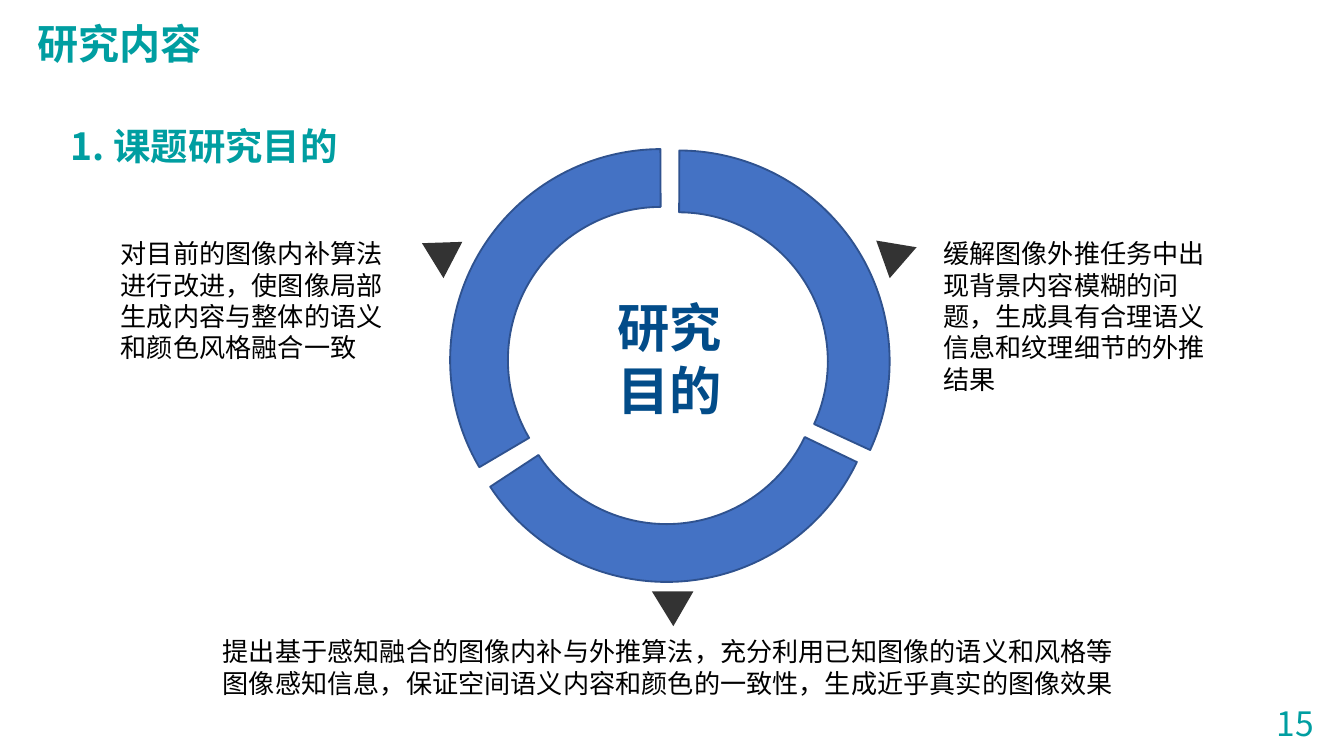
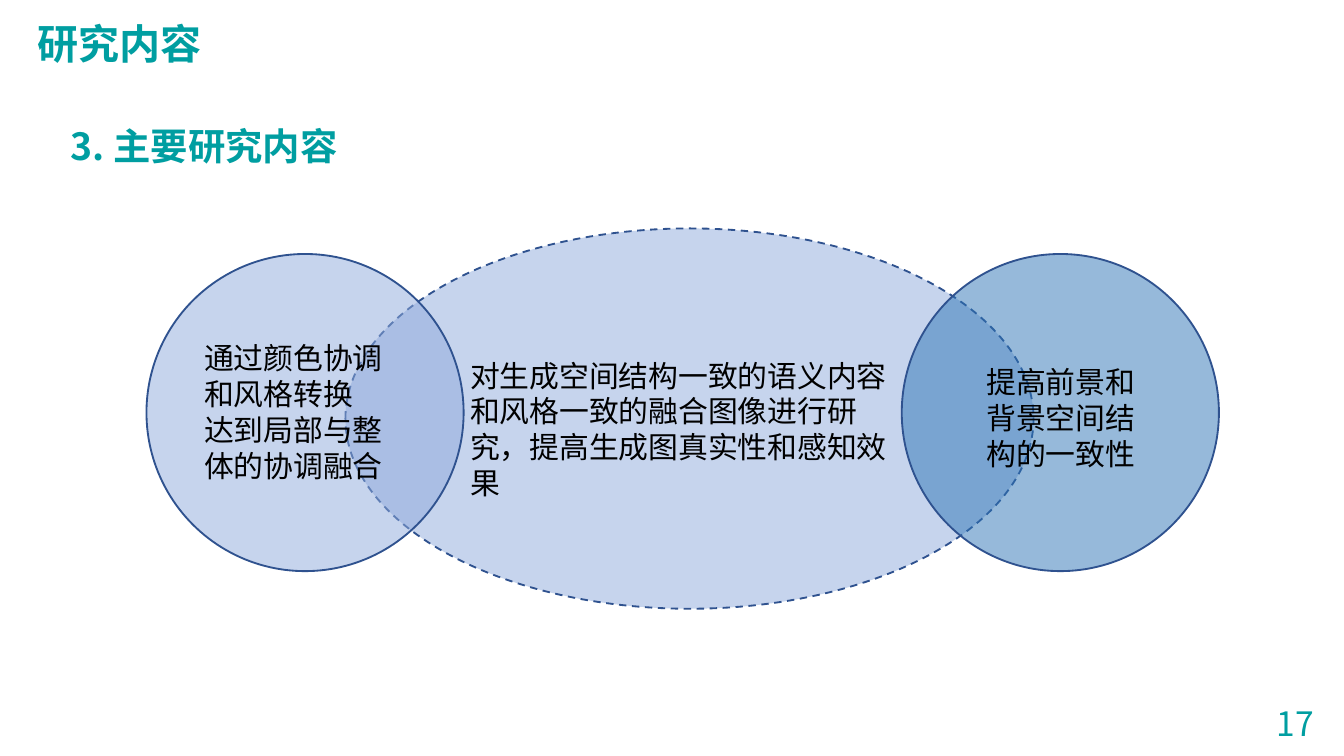
import pptx
import pptx.dml.color
import pptx.enum.dml
import pptx.enum.shapes
import pptx.enum.text
import pptx.oxml.ns
import pptx.util
from lxml import etree

COLOURS = {
    "teal": "009EA1", "navy": "024C89", "text": "000000", "ring": "4472C4",
    "outline": "2F528F", "marker": "333333", "pale": "8FAADC", "blue": "2E75B6",
}
CJK_FONT = "Noto Sans CJK SC"
ALIGN = pptx.enum.text.PP_ALIGN
SHAPES = pptx.enum.shapes.MSO_SHAPE

# Text formats; pitch is the line height as a multiple of the size
FORMATS = {
    "title": {"size": 22, "bold": True, "name": CJK_FONT, "colour": "teal"},
    "heading": {"size": 20, "bold": True, "name": CJK_FONT, "colour": "teal",
                "pitch": 1.8, "alignment": ALIGN.JUSTIFY},
    "hub": {"size": 28, "bold": True, "name": CJK_FONT, "colour": "navy",
            "alignment": ALIGN.CENTER},
    "note": {"size": 14, "name": "Calibri", "colour": "text"},
    "label": {"size": 16, "name": "Calibri", "colour": "text"},
    "number": {"size": 18, "name": CJK_FONT, "colour": "teal"},
}


def cells(count):
    """Length of a number of grid cells; the slide is 100 columns wide."""
    return pptx.util.Inches(count / 10)


def place(*area):
    return [cells(count) for count in area]


def colour(name):
    return pptx.dml.color.RGBColor.from_string(COLOURS[name])


def child(parent, tag, **attributes):
    return etree.SubElement(parent, pptx.oxml.ns.qn(tag), attributes)


# Text
def format_span(span, style):
    for key in ("size", "bold", "name"):
        value = style.get(key, False)
        setattr(span.font, key, pptx.util.Pt(value) if key == "size" else value)
    span.font.color.rgb = colour(style["colour"])
    child(span._r.get_or_add_rPr(), "a:ea", typeface=CJK_FONT)


def write(box, lines, style_name, wrap=True):
    style = FORMATS[style_name]
    frame = box.text_frame
    frame_format = {
        "word_wrap": wrap,
        "auto_size": pptx.enum.text.MSO_AUTO_SIZE.NONE,
        "vertical_anchor": pptx.enum.text.MSO_ANCHOR.TOP,
    }
    for key, value in frame_format.items():
        setattr(frame, key, value)
    for index, line in enumerate(lines):
        para = frame.add_paragraph() if index else frame.paragraphs[0]
        properties = para._p.get_or_add_pPr()
        for key in ("marL", "indent", "hangingPunct"):
            properties.set(key, "0")
        child(properties, "a:buNone")
        para_format = {
            "alignment": style.get("alignment", ALIGN.LEFT),
            "line_spacing": pptx.util.Pt(style["size"] * style.get("pitch", 1.2)),
            "space_before": pptx.util.Pt(0),
        }
        for key, value in para_format.items():
            setattr(para, key, value)
        span = para.add_run()
        span.text = line
        format_span(span, style)


def add_text(page, area, lines, style_name, wrap=True):
    write(page.shapes.add_textbox(*place(*area)), lines, style_name, wrap)


def move(box, area):
    for key, value in zip(("left", "top", "width", "height"), place(*area)):
        setattr(box, key, value)


# Shapes
def paint(shape, fill, outline=None, alpha=None, dashed=False):
    shape.shadow.inherit = False
    shape.fill.solid()
    shape.fill.fore_color.rgb = colour(fill)
    if alpha:
        tint = shape._element.spPr.find(".//" + pptx.oxml.ns.qn("a:srgbClr"))
        child(tint, "a:alpha", val=str(alpha * 1000))
    if outline is None:
        shape.line.fill.background()
        return
    shape.line.color.rgb = colour(outline)
    shape.line.width = pptx.util.Pt(1)
    if dashed:
        shape.line.dash_style = pptx.enum.dml.MSO_LINE.DASH


def add_ring_part(page, centre, inner, start, end, outer=15.7):
    """Part of a ring, running clockwise from start to end in degrees."""
    left, top = (middle - outer for middle in centre)
    arc = page.shapes.add_shape(
        SHAPES.BLOCK_ARC, *place(left, top, 2 * outer, 2 * outer))
    # Angles are stored in sixty-thousandths, adjustments in hundred-thousandths
    values = (start * 0.6, end * 0.6, (outer - inner) / (2 * outer))
    for index, value in enumerate(values):
        arc.adjustments[index] = value
    paint(arc, "ring", "outline")


def add_marker(page, *corners):
    points = [place(*corner) for corner in corners]
    builder = page.shapes.build_freeform(*points[0])
    builder.add_line_segments(points[1:], close=True)
    paint(builder.convert_to_shape(), "marker")


def add_oval(page, area, fill, dashed=False):
    oval = page.shapes.add_shape(SHAPES.OVAL, *place(*area))
    paint(oval, fill, "outline", alpha=50, dashed=dashed)


# Shared page frame
def add_page(deck, number, heading):
    page = deck.slides.add_slide(deck.slide_layouts[1])
    title, body = page.placeholders
    move(title, (1.8, 0.9, 14.2, 4.7))
    write(title, ["研究内容"], "title", wrap=False)
    move(body, (4.25, 7, 92.5, 6))
    write(body, [heading], "heading")
    add_text(page, (94, 51.8, 5, 4), [number], "number", wrap=False)
    return page


def build_purpose(deck):
    page = add_page(deck, "15", "1. 课题研究目的")
    add_text(page, (38.5, 21.5, 22.6, 10.4), ["研究", "目的"], "hub")

    # Ring in three parts
    add_ring_part(page, (49.2, 26.8), 11.4, 149.5, 269.8)
    add_ring_part(page, (49.6, 27.6), 11.4, 25.6, 146.7)
    add_ring_part(page, (50.5, 26.9), 11.1, 270.2, 24.8)

    # Markers pointing to the notes
    add_marker(page, (68.2, 18.4), (66.2, 20.7), (65.2, 17.9))
    add_marker(page, (31.4, 18.1), (34.4, 18), (33, 20.7))
    add_marker(page, (51.6, 44), (50.1, 46.6), (48.5, 44))

    notes = [
        ((8, 17.2, 21.5, 10.4),
         "对目前的图像内补算法进行改进，使图像局部生成内容与整体的语义和颜色风格融合一致"),
        ((69.2, 17.2, 22.1, 10.4),
         "缓解图像外推任务中出现背景内容模糊的问题，生成具有合理语义信息和纹理细节的外推结果"),
        ((15.6, 46.8, 68.3, 5.7),
         "提出基于感知融合的图像内补与外推算法，充分利用已知图像的语义和风格等"
         "图像感知信息，保证空间语义内容和颜色的一致性，生成近乎真实的图像效果"),
    ]
    for area, note in notes:
        add_text(page, area, [note], "note")


def build_contents(deck):
    page = add_page(deck, "17", "3. 主要研究内容")

    # Overlapping fields of work
    add_oval(page, (25.7, 17, 51.2, 28.3), "pale", dashed=True)
    for left, fill in ((67.1, "blue"), (10.9, "pale")):
        add_oval(page, (left, 18.9, 23.6, 23.6), fill)

    labels = [
        ((14.2, 24.8, 16.9, 11.7),
         ["通过颜色协调和风格转换", "达到局部与整体的协调融合"]),
        ((72.4, 26.6, 14, 9), ["提高前景和背景空间结构的一致性"]),
        ((34, 26.1, 34.7, 9),
         ["对生成空间结构一致的语义内容和风格一致的融合图像进行研究，"
          "提高生成图真实性和感知效果"]),
    ]
    for area, lines in labels:
        add_text(page, area, lines, "label")


def main():
    deck = pptx.Presentation()
    deck.slide_width, deck.slide_height = place(100, 56.25)
    build_purpose(deck)
    build_contents(deck)
    deck.save("out.pptx")


if __name__ == "__main__":
    main()
